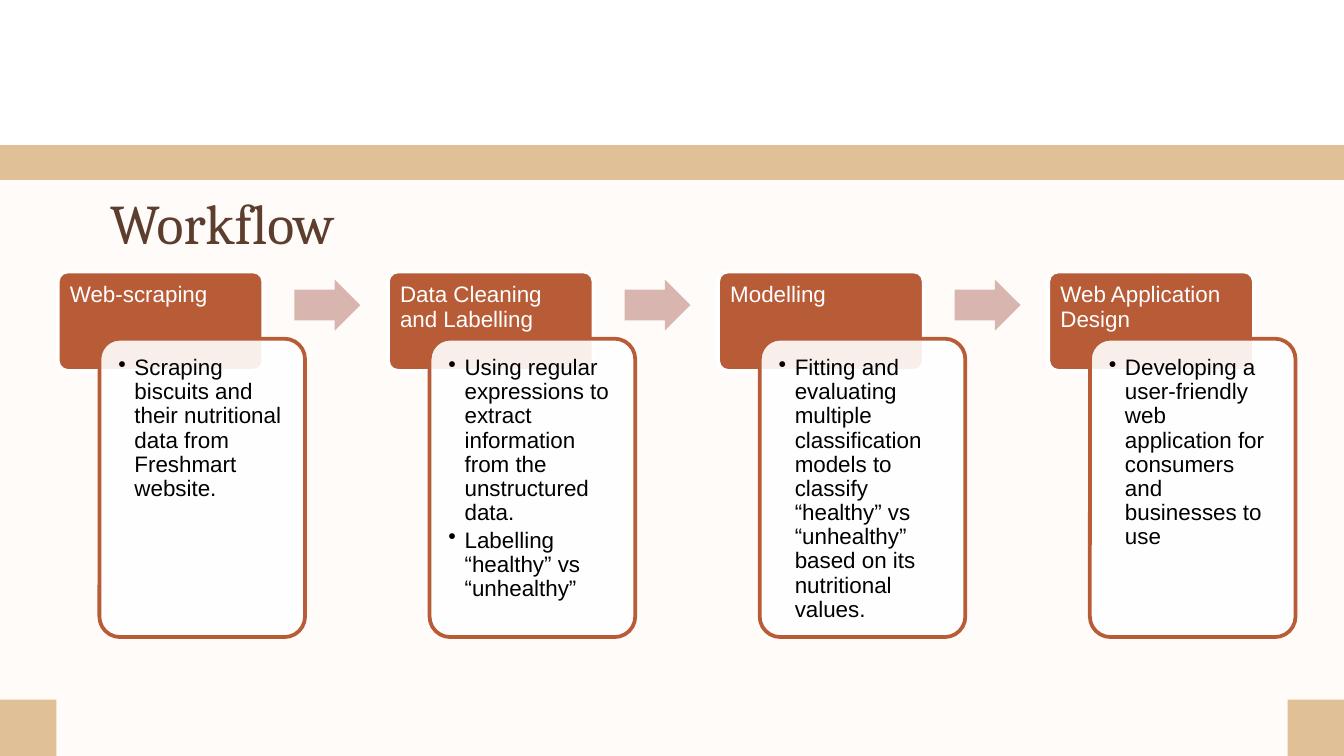
from lxml import etree
from pptx import Presentation
from pptx.dml.color import RGBColor
from pptx.enum.shapes import MSO_SHAPE
from pptx.enum.text import MSO_ANCHOR, MSO_AUTO_SIZE, PP_ALIGN
from pptx.oxml.ns import qn
from pptx.util import Inches, Pt

RECT = MSO_SHAPE.RECTANGLE
ROUND = MSO_SHAPE.ROUNDED_RECTANGLE
ARROW = MSO_SHAPE.RIGHT_ARROW
TOP = MSO_ANCHOR.TOP
MIDDLE = MSO_ANCHOR.MIDDLE
LEFT = PP_ALIGN.LEFT
FIXED = MSO_AUTO_SIZE.NONE

COLORS = {
    "cream": "FFFBF8", "tan": "E0C097", "rust": "B85C38", "rose": "D8B6AF",
    "brown": "5C3D2E", "white": "FFFFFF", "black": "000000",
}
STEPS = [
    ("Web-scraping",
     ["Scraping biscuits and their nutritional data from Freshmart website."]),
    ("Data Cleaning and Labelling",
     ["Using regular expressions to extract information from the unstructured data.",
      "Labelling “healthy” vs “unhealthy”"]),
    ("Modelling",
     ["Fitting and evaluating multiple classification models to classify "
      "“healthy” vs “unhealthy” based on its nutritional values."]),
    ("Web Application Design",
     ["Developing a user-friendly web application for consumers and businesses to use"]),
]
WIDE = 10
HIGH = WIDE * 9 / 16
SIDE = 0.42
START = 0.43
PITCH = (7.8 - START) / (len(STEPS) - 1)


def color(name):
    return RGBColor.from_string(COLORS[name])


def set_all(target, values):
    for name, value in values.items():
        setattr(target, name, value)


def add_block(slide, kind, box, fill, line=None, adjust=()):
    shape = slide.shapes.add_shape(kind, *map(Inches, box))
    shape.shadow.inherit = False
    shape.fill.solid()
    shape.fill.fore_color.rgb = color(fill)
    if line:
        shape.line.color.rgb = color(line)
        shape.line.width = Pt(2)
    else:
        shape.line.fill.background()
    for index, value in enumerate(adjust):
        shape.adjustments[index] = value
    return shape


def set_alpha(shape, percent):
    tint = shape.fill._xPr.find(qn("a:solidFill"))[0]
    etree.SubElement(tint, qn("a:alpha"), val=str(percent * 1000))


def add_bullet(para):
    props = para._p.get_or_add_pPr()
    props.set("marL", str(Inches(0.12)))
    props.set("indent", str(Inches(-0.12)))
    props.set("lvl", "1")
    tint = etree.SubElement(props, qn("a:buClr"))
    etree.SubElement(tint, qn("a:srgbClr"), val=COLORS["black"])
    etree.SubElement(props, qn("a:buChar"), char="•")


def add_text(slide, box, lines, ink, base, after, bullet=False):
    frame = slide.shapes.add_textbox(*map(Inches, box)).text_frame
    inset = Inches(0.09)
    set_all(frame, {
        "word_wrap": True, "auto_size": FIXED, "vertical_anchor": TOP,
        "margin_left": inset, "margin_right": inset, "margin_top": inset,
        "margin_bottom": Inches(base),
    })
    for index, line in enumerate(lines):
        para = frame.add_paragraph() if index else frame.paragraphs[0]
        if bullet:
            add_bullet(para)
        set_all(para, {"line_spacing": 0.9, "space_after": Pt(after)})
        run = para.add_run()
        run.text = line
        for font in (para.font, run.font):
            set_all(font, {"name": "Arial", "size": Pt(12)})
            font.color.rgb = color(ink)


def add_title(slide, text):
    title = slide.shapes.title
    slide.shapes.element.append(title.element)
    set_all(title, {
        "left": Inches(0.72), "top": Inches(1.34),
        "width": Inches(8.43), "height": Inches(0.63),
    })
    frame = title.text_frame
    inset = Inches(0.1)
    set_all(frame, {
        "word_wrap": True, "auto_size": FIXED, "vertical_anchor": MIDDLE,
        "margin_left": inset, "margin_right": inset,
        "margin_top": inset, "margin_bottom": inset,
    })
    para = frame.paragraphs[0]
    para.alignment = LEFT
    run = para.add_run()
    run.text = text
    set_all(run.font, {"name": "Cambria", "size": Pt(30)})
    run.font.color.rgb = color("brown")


def add_step(slide, left, head, points):
    add_block(slide, ROUND, (left, 2.02, 1.53, 0.74), "rust", "white", [0.1])
    add_text(slide, (left, 2.02, 1.53, 0.49), [head], "white", 0.05, 4.2)
    card = add_block(slide, ROUND, (left + 0.31, 2.52, 1.53, 2.22),
                     "white", "rust", [0.1])
    set_alpha(card, 90)
    add_text(slide, (left + 0.36, 2.56, 1.42, 2.13), points, "black", 0.09, 1.8, True)


def main():
    deck = Presentation()
    deck.slide_width, deck.slide_height = Inches(WIDE), Inches(HIGH)
    slide = deck.slides.add_slide(deck.slide_layouts[5])
    add_block(slide, RECT, (0, 1.08, WIDE, HIGH - 1.08), "cream")
    for left in (0, WIDE - SIDE):
        add_block(slide, RECT, (left, HIGH - SIDE, SIDE, SIDE), "tan")
    add_title(slide, "Workflow")
    add_block(slide, RECT, (0, 1.08, WIDE, 0.26), "tan")
    for index, (head, points) in enumerate(STEPS):
        left = START + index * PITCH
        add_step(slide, left, head, points)
        if index < len(STEPS) - 1:
            add_block(slide, ARROW, (left + 1.76, 2.08, 0.49, 0.38), "rose",
                      adjust=[0.6, 0.5])
    deck.save("out.pptx")


if __name__ == "__main__":
    main()
